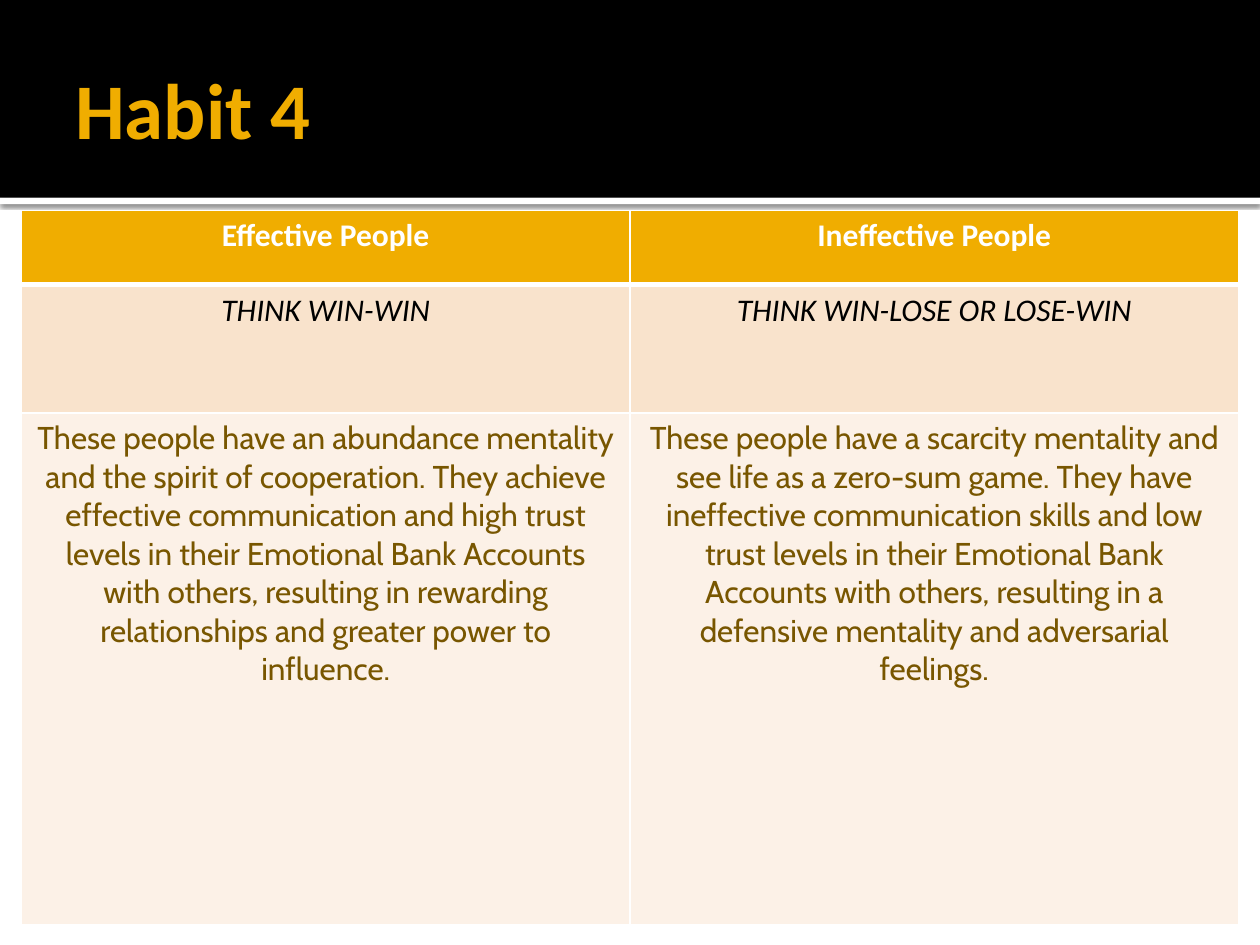
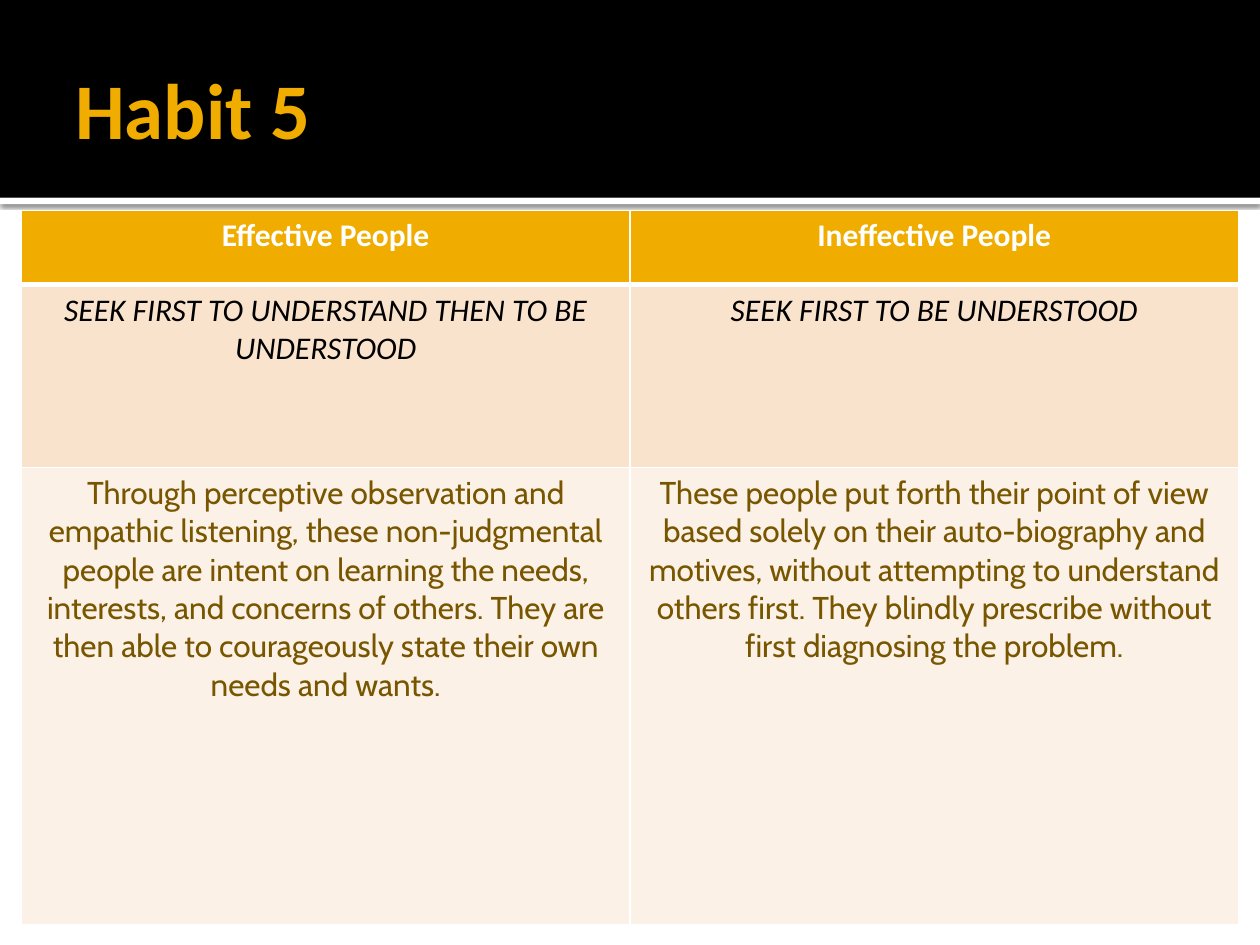
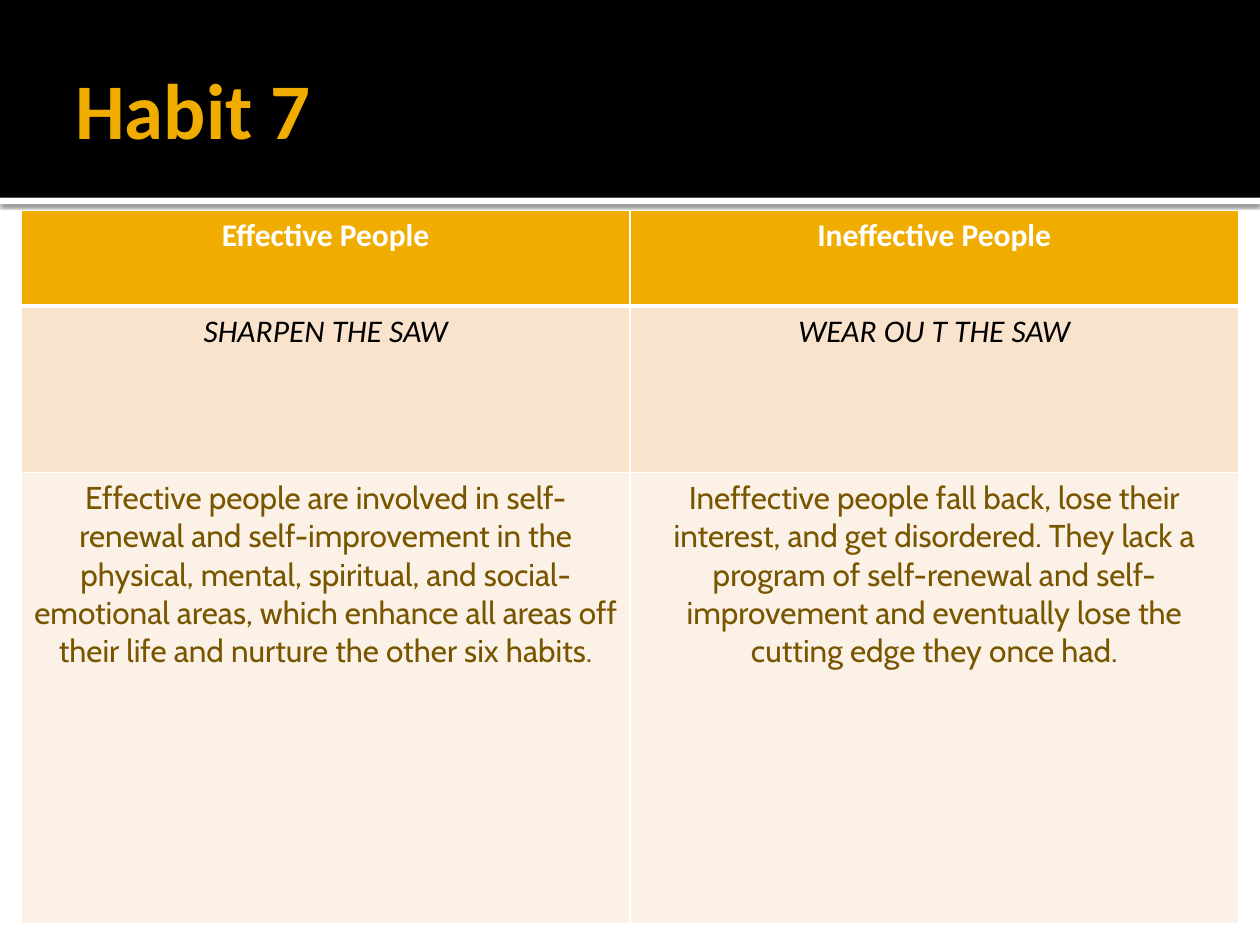
from dataclasses import dataclass

from lxml.etree import SubElement
from pptx import Presentation
from pptx.dml.color import RGBColor
from pptx.enum.shapes import MSO_SHAPE
from pptx.enum.text import MSO_ANCHOR, PP_ALIGN
from pptx.oxml import parse_xml
from pptx.oxml.ns import nsdecls, qn
from pptx.util import Emu, Pt

PX = 9144  # 100 px to the inch

COLORS = {
    "white": "FFFFFF",
    "black": "000000",
    "gold": "F0AD00",
    "brown": "785600",
    "peach": "F9E3CC",
    "cream": "FCF1E7",
}


@dataclass(frozen=True)
class Rect:
    left: int
    top: int
    width: int
    height: int

    def emu(self) -> list[Emu]:
        return [px(n) for n in (self.left, self.top, self.width, self.height)]


@dataclass(frozen=True)
class TextStyle:
    color: str
    font: dict


@dataclass(frozen=True)
class RowStyle:
    fill: str
    text: TextStyle
    top_line: int = 1
    bottom_line: int = 1


@dataclass(frozen=True)
class Habit:
    title: str
    row_heights: tuple[int, int, int]
    mottos: tuple[str, str]
    descriptions: tuple[str, str]


BAND = Rect(0, 0, 1000, 157)
BAND_EDGE = Rect(0, 157, 1000, 5)
TITLE = Rect(50, 17, 900, 137)
TABLE = Rect(17, 167, 966, 567)

TITLE_FORMAT = {
    "word_wrap": True,
    "vertical_anchor": MSO_ANCHOR.MIDDLE,
    "margin_left": Emu(10 * PX),
    "margin_right": Emu(5 * PX),
    "margin_top": Emu(5 * PX),
    "margin_bottom": Emu(5 * PX),
}
TITLE_STYLE = TextStyle("gold", {"name": "Calibri", "size": Pt(45), "bold": True})
HEADER_STYLE = TextStyle("white", {"name": "Calibri", "size": Pt(18), "bold": True})
MOTTO_STYLE = TextStyle(
    "black", {"name": "Calibri", "size": Pt(18), "bold": False, "italic": True}
)
DESCRIPTION_STYLE = TextStyle(
    "brown", {"name": "Cabin", "size": Pt(18), "bold": False, "italic": False}
)
ROW_STYLES = (
    RowStyle("gold", HEADER_STYLE, bottom_line=3),
    RowStyle("peach", MOTTO_STYLE, top_line=3),
    RowStyle("cream", DESCRIPTION_STYLE),
)

HEADERS = ("Effective People", "Ineffective People")
HABITS = (
    Habit(
        "Habit 4",
        (59, 102, 406),
        ("THINK WIN-WIN", "THINK WIN-LOSE OR LOSE-WIN"),
        (
            "These people have an abundance mentality and the spirit of cooperation. "
            "They achieve effective communication and high trust levels in their "
            "Emotional Bank Accounts with others, resulting in rewarding "
            "relationships and greater power to influence.",
            "These people have a scarcity mentality and see life as a zero-sum game. "
            "They have ineffective communication skills and low trust levels in "
            "their Emotional Bank Accounts with others, resulting in a defensive "
            "mentality and adversarial feelings.",
        ),
    ),
    Habit(
        "Habit 5",
        (59, 145, 363),
        ("SEEK FIRST TO UNDERSTAND THEN TO BE UNDERSTOOD", "SEEK FIRST TO BE UNDERSTOOD"),
        (
            "Through perceptive observation and empathic listening, these "
            "non-judgmental people are intent on learning the needs, interests, and "
            "concerns of others. They are then able to courageously state their own "
            "needs and wants.",
            "These people put forth their point of view based solely on their "
            "auto-biography and motives, without attempting to understand others "
            "first. They blindly prescribe without first diagnosing the problem.",
        ),
    ),
    Habit(
        "Habit 7",
        (76, 132, 358),
        ("SHARPEN THE SAW", "WEAR OU T THE SAW"),
        (
            "Effective people are involved in self-renewal and self-improvement in "
            "the physical, mental, spiritual, and social-emotional areas, which "
            "enhance all areas off their life and nurture the other six habits.",
            "Ineffective people fall back, lose their interest, and get disordered. "
            "They lack a program of self-renewal and self-improvement and eventually "
            "lose the cutting edge they once had.",
        ),
    ),
)


def px(length: int) -> Emu:
    return Emu(length * PX)


def rgb(name: str) -> RGBColor:
    return RGBColor.from_string(COLORS[name])


def set_attributes(target, values: dict) -> None:
    for name, value in values.items():
        setattr(target, name, value)


def write_text(para, text: str, style: TextStyle) -> None:
    span = para.add_run()
    span.text = text
    set_attributes(span.font, style.font)
    span.font.color.rgb = rgb(style.color)


def add_bar(page, area: Rect, color: str):
    bar = page.shapes.add_shape(MSO_SHAPE.RECTANGLE, *area.emu())
    bar.shadow.inherit = False
    bar.fill.solid()
    bar.fill.fore_color.rgb = rgb(color)
    bar.line.fill.background()
    return bar


def add_soft_shadow(shape) -> None:
    """Cast a slightly blurred black shadow straight down."""
    effects = shape.element.spPr.find(qn("a:effectLst"))
    effects.append(parse_xml(
        f'<a:outerShdw {nsdecls("a")} blurRad="{Pt(2.5)}" dist="{Pt(0.8)}" '
        f'dir="5400000" algn="tl" rotWithShape="0">'
        f'<a:srgbClr val="{COLORS["black"]}"><a:alpha val="60000"/></a:srgbClr>'
        f"</a:outerShdw>"
    ))


def add_heading(page, title: str) -> None:
    add_soft_shadow(add_bar(page, BAND_EDGE, "white"))
    add_bar(page, BAND, "black")
    box = page.shapes.add_textbox(*TITLE.emu())
    set_attributes(box.text_frame, TITLE_FORMAT)
    write_text(box.text_frame.paragraphs[0], title, TITLE_STYLE)


def set_borders(cell, style: RowStyle) -> None:
    """Draw white borders; they must precede the cell's fill in the XML."""
    properties = cell._tc.get_or_add_tcPr()
    widths = {"lnL": 1, "lnR": 1, "lnT": style.top_line, "lnB": style.bottom_line}
    for position, (side, width) in enumerate(widths.items()):
        line = SubElement(properties, qn(f"a:{side}"), w=str(Pt(width)))
        fill = SubElement(line, qn("a:solidFill"))
        SubElement(fill, qn("a:srgbClr"), val=COLORS["white"])
        properties.insert(position, line)


def fill_cell(cell, text: str, style: RowStyle) -> None:
    cell.fill.solid()
    cell.fill.fore_color.rgb = rgb(style.fill)
    set_borders(cell, style)
    para = cell.text_frame.paragraphs[0]
    para.alignment = PP_ALIGN.CENTER
    write_text(para, text, style.text)


def add_comparison(page, habit: Habit) -> None:
    rows = (HEADERS, habit.mottos, habit.descriptions)
    table = page.shapes.add_table(len(rows), len(HEADERS), *TABLE.emu()).table
    table.horz_banding = False
    for column in table.columns:
        column.width = px(TABLE.width // len(HEADERS))
    for row, height, texts, style in zip(table.rows, habit.row_heights, rows, ROW_STYLES):
        row.height = px(height)
        for cell, text in zip(row.cells, texts):
            fill_cell(cell, text, style)


def main() -> None:
    deck = Presentation()
    deck.slide_width, deck.slide_height = px(1000), px(750)
    for habit in HABITS:
        page = deck.slides.add_slide(deck.slide_layouts[6])
        add_heading(page, habit.title)
        add_comparison(page, habit)
    deck.save("out.pptx")


if __name__ == "__main__":
    main()
